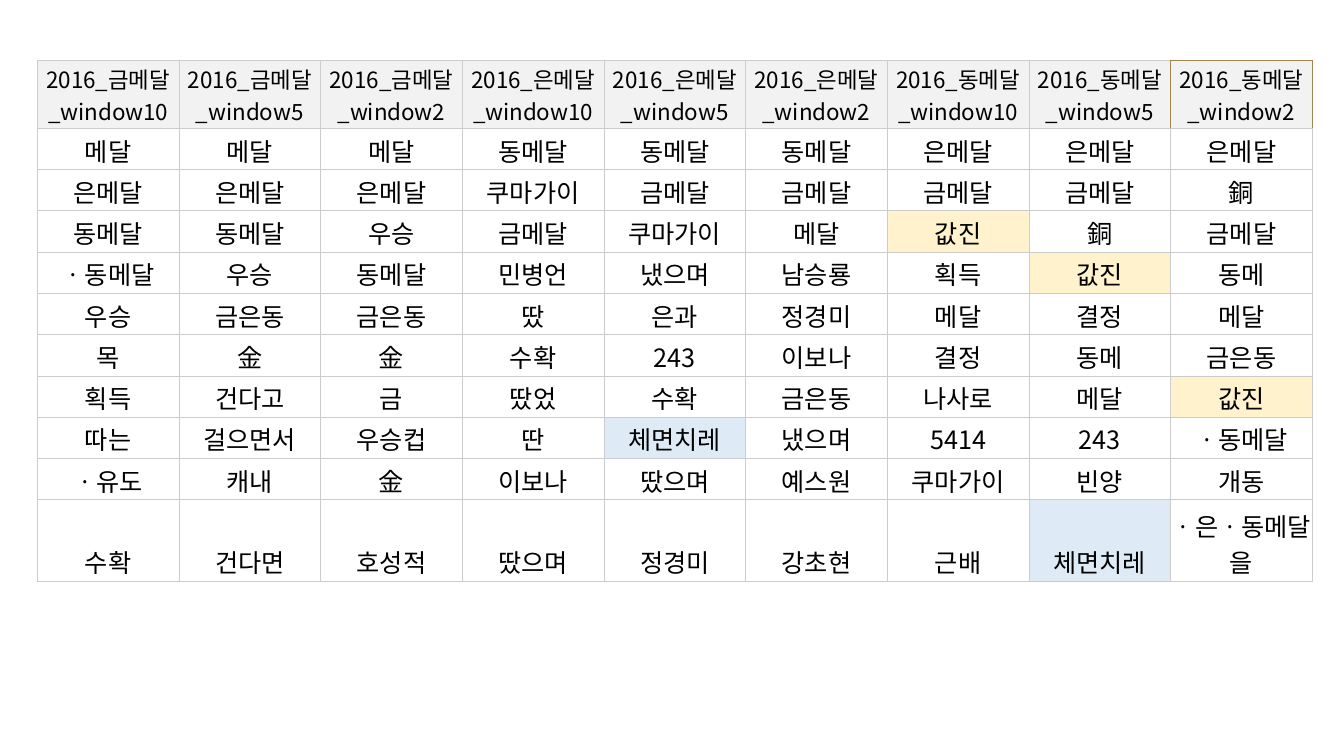
from lxml.etree import SubElement
from pptx import Presentation
from pptx.dml.color import RGBColor
from pptx.enum.lang import MSO_LANGUAGE_ID as LANG
from pptx.enum.text import MSO_ANCHOR, PP_ALIGN
from pptx.oxml.ns import qn
from pptx.util import Cm, Pt

# Content: nearest words per medal and window size
MEDALS = ["금메달", "은메달", "동메달"]
WINDOWS = [10, 5, 2]
HEADERS = [f"2016_{medal}_window{size}" for medal in MEDALS for size in WINDOWS]
WORDS = [
    ["메달", "메달", "메달", "동메달", "동메달", "동메달", "은메달", "은메달", "은메달"],
    ["은메달", "은메달", "은메달", "쿠마가이", "금메달", "금메달", "금메달", "금메달", "銅"],
    ["동메달", "동메달", "우승", "금메달", "쿠마가이", "메달", "값진", "銅", "금메달"],
    ["ㆍ동메달", "우승", "동메달", "민병언", "냈으며", "남승룡", "획득", "값진", "동메"],
    ["우승", "금은동", "금은동", "땄", "은과", "정경미", "메달", "결정", "메달"],
    ["목", "金", "金", "수확", "243", "이보나", "결정", "동메", "금은동"],
    ["획득", "건다고", "금", "땄었", "수확", "금은동", "나사로", "메달", "값진"],
    ["따는", "걸으면서", "우승컵", "딴", "체면치레", "냈으며", "5414", "243", "ㆍ동메달"],
    ["ㆍ유도", "캐내", "金", "이보나", "땄으며", "예스원", "쿠마가이", "빈양", "개동"],
    ["수확", "건다면", "호성적", "땄으며", "정경미", "강초현", "근배", "체면치레", "ㆍ은ㆍ동메달을"],
]

# Format
FONT = "Noto Sans CJK KR"
BLACK = RGBColor(0x00, 0x00, 0x00)
HEADER_GRAY = RGBColor(0xF2, 0xF2, 0xF2)
GRID_GRAY = RGBColor(0xCC, 0xCC, 0xCC)
GOLD = RGBColor(0xA0, 0x86, 0x4D)
HIGHLIGHTS = {
    "값진": RGBColor(0xFF, 0xF2, 0xCC),
    "체면치레": RGBColor(0xDE, 0xEB, 0xF7),
}
CELL_FORMAT = {
    "vertical_anchor": MSO_ANCHOR.BOTTOM,
    "margin_left": Cm(0.03),
    "margin_right": Cm(0.03),
    "margin_top": Cm(0.03),
    "margin_bottom": Cm(0.03),
}
LEFT, TOP = Cm(0.94), Cm(1.52)
COL_W = Cm(3.57)
ROW_HEIGHTS = [Cm(1.71)] + [Cm(1.04)] * (len(WORDS) - 1) + [Cm(2.05)]


def set_borders(cell, colors):
    tcPr = cell._tc.get_or_add_tcPr()
    for side, color in colors.items():
        ln = SubElement(tcPr, qn(f"a:ln{side}"), w=str(Pt(0.5)))
        fill = SubElement(ln, qn("a:solidFill"))
        SubElement(fill, qn("a:srgbClr"), val=str(color))


def fill_cell(cell, text, size, color, borders):
    for name, value in CELL_FORMAT.items():
        setattr(cell, name, value)
    set_borders(cell, borders)
    if color is None:
        cell.fill.background()
    else:
        cell.fill.solid()
        cell.fill.fore_color.rgb = color
    p = cell.text_frame.paragraphs[0]
    p.alignment = PP_ALIGN.CENTER
    r = p.add_run()
    r.text = text
    font_format = {"name": FONT, "size": size, "bold": False, "language_id": LANG.KOREAN}
    for name, value in font_format.items():
        setattr(r.font, name, value)
    r.font.color.rgb = BLACK
    SubElement(r.font._element, qn("a:ea"), typeface=FONT)


def main():
    prs = Presentation()
    prs.slide_width, prs.slide_height = Cm(33.87), Cm(19.05)
    s = prs.slides.add_slide(prs.slide_layouts[6])

    # Table grid
    rows = [HEADERS] + WORDS
    n_cols = len(HEADERS)
    table = s.shapes.add_table(
        len(rows), n_cols, LEFT, TOP, COL_W * n_cols, sum(ROW_HEIGHTS)
    ).table
    table.first_row = table.horz_banding = False
    for col in table.columns:
        col.width = COL_W
    for row, height in zip(table.rows, ROW_HEIGHTS):
        row.height = height

    # Cells, with a gold frame around the last header
    last = n_cols - 1
    for i, texts in enumerate(rows):
        for j, text in enumerate(texts):
            borders = dict.fromkeys("LRTB", GRID_GRAY)
            if i == 0 and j == last:
                borders.update(L=GOLD, R=GOLD, T=GOLD)
            elif i == 0 and j == last - 1:
                borders.update(R=GOLD)
            color = HIGHLIGHTS.get(text) if i else HEADER_GRAY
            fill_cell(table.cell(i, j), text, Pt(18 if i else 16), color, borders)

    prs.save("out.pptx")


if __name__ == "__main__":
    main()
